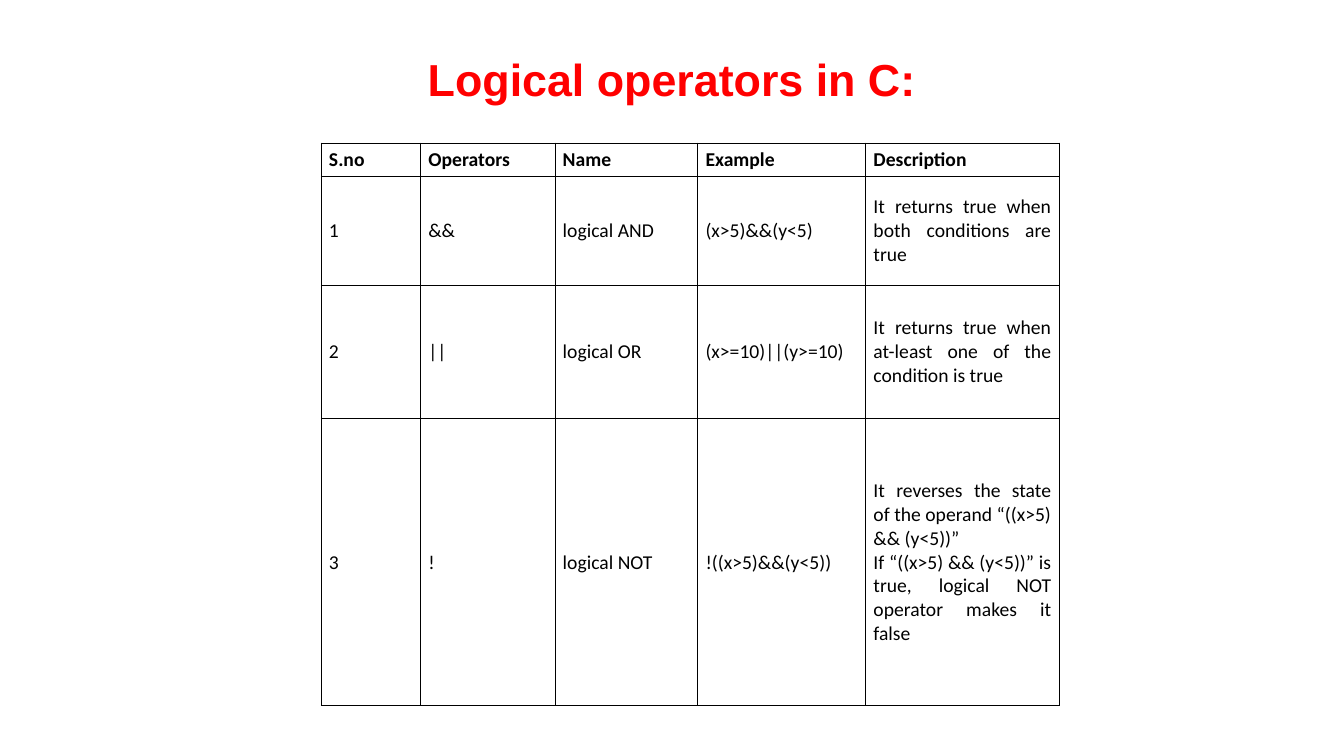
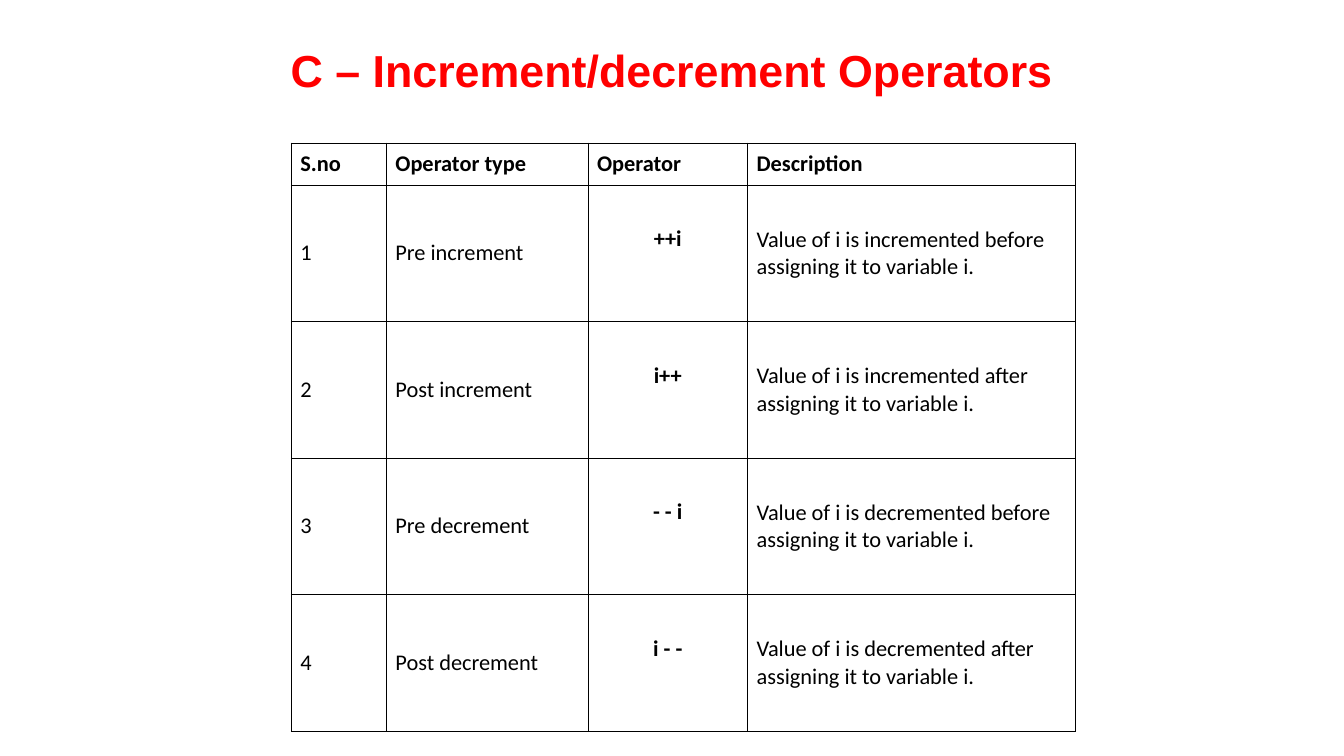
import pptx
import pptx.dml.color
import pptx.enum.text
import pptx.oxml
import pptx.oxml.ns
import pptx.util

Pt = pptx.util.Pt
ALIGN = pptx.enum.text.PP_ALIGN
MIDDLE = pptx.enum.text.MSO_ANCHOR.MIDDLE

COLORS = {"title": "FF0000", "text": "000000", "border": "000000", "cell": "FFFFFF"}

LOGICAL_ROWS = [
    ["S.no", "Operators", "Name", "Example", "Description"],
    ["1", "&&", "logical AND", "(x>5)&&(y<5)",
     "It returns true when both conditions are true"],
    ["2", "||", "logical OR", "(x>=10)||(y>=10)",
     "It returns true when at-least one of the condition is true"],
    ["3", "!", "logical NOT", "!((x>5)&&(y<5))",
     "It reverses the state of the operand “((x>5) && (y<5))”\n"
     "If “((x>5) && (y<5))” is true, logical NOT operator makes it false"],
]

# The wide gap after "Post" is a single en space.
INCREMENT_ROWS = [
    ["S.no", "Operator type", "Operator", "Description"],
    ["1", "Pre increment", "++i",
     "Value of i is incremented before assigning it to variable i."],
    ["2", "Post increment", "i++",
     "Value of i is incremented after assigning it to variable i."],
    ["3", "Pre decrement", "- - i",
     "Value of i is decremented before assigning it to variable i."],
    ["4", "Post decrement", "i - -",
     "Value of i is decremented after assigning it to variable i."],
]


class Deck:
    title_font, title_size = "Arial", 32
    table_font = "Calibri"
    table_top = 102.2
    border_width = 0.75
    cell_margin_y = 3

    def __init__(self):
        self.presentation = pptx.Presentation()
        self.presentation.slide_width = Pt(960)
        self.presentation.slide_height = Pt(540)
        self.slide = None

    def add_slide(self):
        self.slide = self.presentation.slides.add_slide(self.presentation.slide_layouts[6])

    def format_text(self, text_frame, font, size, color, bold, alignment):
        for paragraph in text_frame.paragraphs:
            paragraph.alignment = alignment
            for run in paragraph.runs:
                run.font.name = font
                run.font.size = Pt(size)
                run.font.bold = bold
                run.font.color.rgb = pptx.dml.color.RGBColor.from_string(COLORS[color])

    def add_title(self, text, height):
        box = self.slide.shapes.add_textbox(Pt(156), Pt(21.6), Pt(648), Pt(height))
        frame = box.text_frame
        frame.word_wrap = True
        frame.vertical_anchor = MIDDLE
        frame.margin_left = frame.margin_right = frame.margin_top = frame.margin_bottom = 0
        frame.text = text
        self.format_text(frame, self.title_font, self.title_size, "title", True, ALIGN.CENTER)

    def add_table(self, rows, left, widths, heights, size, margin_x,
                  alignments=None, bold_column=None, bold_lift=0):
        """Add a bordered grid; alignments maps body columns, bold_lift raises the bold one."""
        alignments = alignments or {}
        table = self.slide.shapes.add_table(
            len(rows), len(widths), Pt(left), Pt(self.table_top),
            Pt(sum(widths)), Pt(sum(heights))).table
        table.first_row = table.horz_banding = False
        for column, width in zip(table.columns, widths):
            column.width = Pt(width)
        for row, height in zip(table.rows, heights):
            row.height = Pt(height)
        for row_index, texts in enumerate(rows):
            is_header = row_index == 0
            for column_index, text in enumerate(texts):
                cell = table.cell(row_index, column_index)
                is_bold_body = not is_header and column_index == bold_column
                alignment = ALIGN.LEFT if is_header else alignments.get(column_index, ALIGN.LEFT)
                cell.text_frame.text = text
                cell.vertical_anchor = MIDDLE
                cell.margin_left = cell.margin_right = Pt(margin_x)
                cell.margin_top = Pt(self.cell_margin_y)
                cell.margin_bottom = Pt(self.cell_margin_y + (bold_lift if is_bold_body else 0))
                cell.fill.solid()
                cell.fill.fore_color.rgb = pptx.dml.color.RGBColor.from_string(COLORS["cell"])
                self.format_text(cell.text_frame, self.table_font, size, "text",
                                 is_header or is_bold_body, alignment)
                self.add_borders(cell)

    def add_borders(self, cell):
        properties = cell._tc.get_or_add_tcPr()
        for index, side in enumerate(("lnL", "lnR", "lnT", "lnB")):
            properties.insert(index, pptx.oxml.parse_xml(
                f'<a:{side} {pptx.oxml.ns.nsdecls("a")} w="{Pt(self.border_width)}">'
                f'<a:solidFill><a:srgbClr val="{COLORS["border"]}"/></a:solidFill></a:{side}>'))


def main():
    deck = Deck()

    deck.add_slide()
    deck.add_title("Logical operators in C:", height=68.4)
    deck.add_table(LOGICAL_ROWS, left=229.5, widths=[71, 96, 102, 120, 138],
                   heights=[24, 77.5, 95.5, 205], size=14, margin_x=5.5,
                   alignments={4: ALIGN.JUSTIFY})

    deck.add_slide()
    deck.add_title("C – Increment/decrement Operators", height=56)
    deck.add_table(INCREMENT_ROWS, left=208, widths=[68, 144, 114, 234],
                   heights=[30] + [97.5] * 4, size=16, margin_x=6.5,
                   alignments={2: ALIGN.CENTER}, bold_column=2, bold_lift=20)

    deck.presentation.save("out.pptx")


if __name__ == "__main__":
    main()
